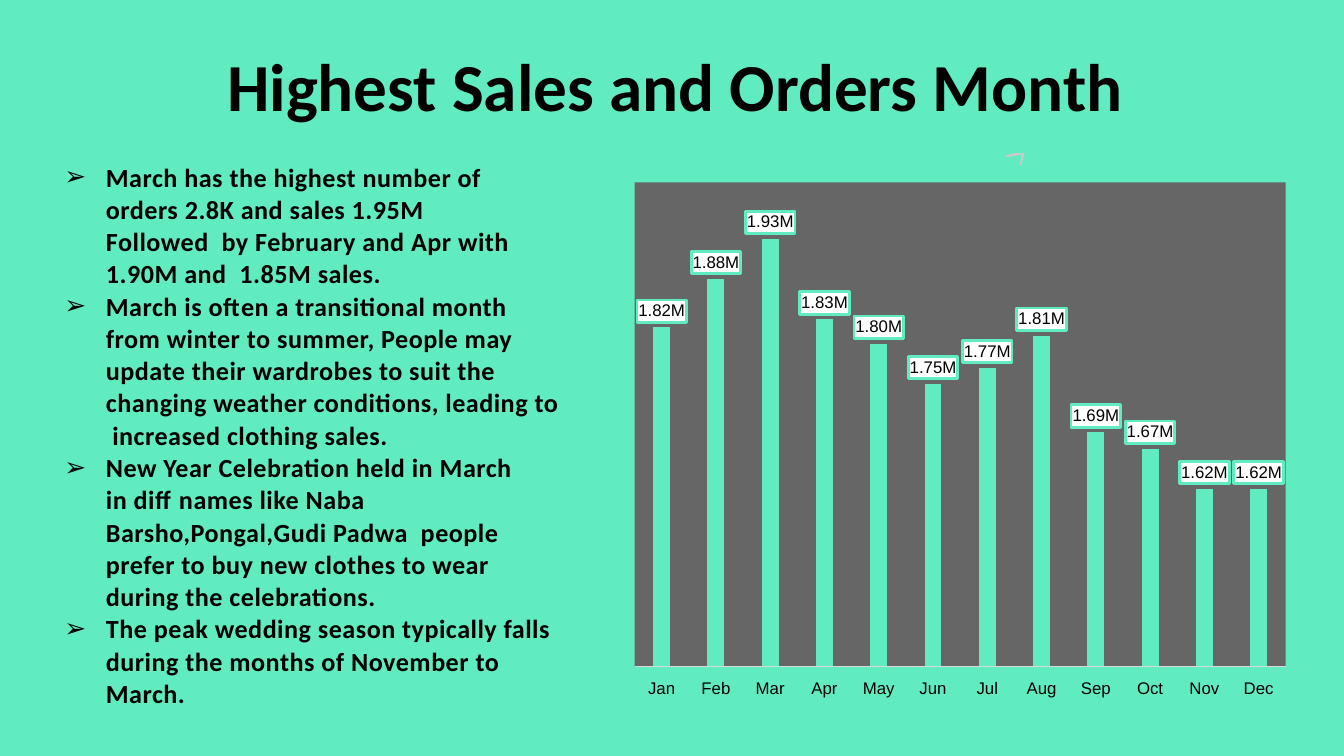
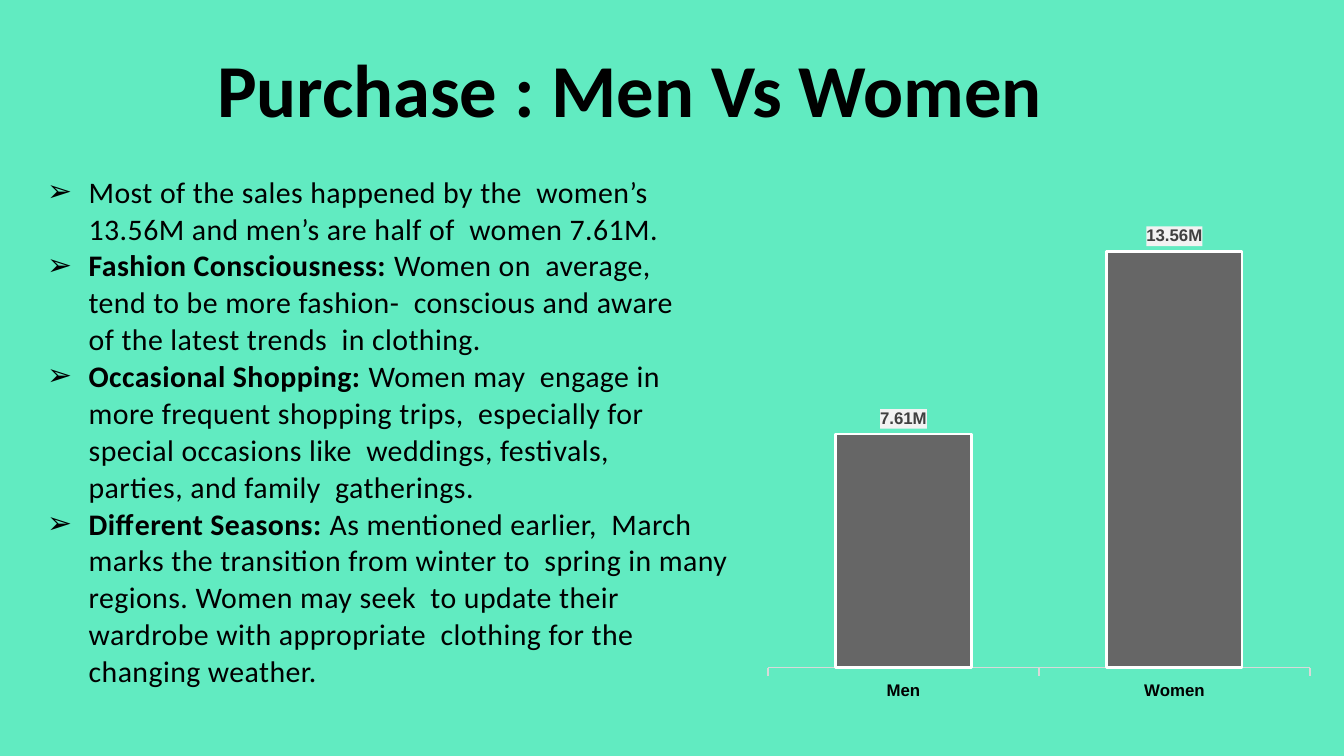
from lxml.etree import SubElement
from pptx import Presentation
from pptx.chart.data import CategoryChartData
from pptx.dml.color import RGBColor
from pptx.enum.chart import XL_CHART_TYPE, XL_LABEL_POSITION, XL_TICK_LABEL_POSITION, XL_TICK_MARK
from pptx.enum.text import MSO_ANCHOR, MSO_AUTO_SIZE, PP_ALIGN
from pptx.oxml import parse_xml
from pptx.oxml.ns import nsdecls, qn
from pptx.util import Emu, Inches, Pt

MINT = RGBColor(0x61, 0xEB, 0xC1)
GRAY = RGBColor(0x66, 0x66, 0x66)
BLACK = RGBColor(0, 0, 0)
DARK = RGBColor(0x40, 0x40, 0x40)
WHITE = RGBColor(0xFF, 0xFF, 0xFF)
PALE = RGBColor(0xF2, 0xF2, 0xF2)
RULE = RGBColor(0xD9, 0xD9, 0xD9)
FLECK = RGBColor(0xCA, 0xCA, 0xCA)

deck = Presentation()
deck.slide_width = Inches(10)
deck.slide_height = Emu(deck.slide_width * 9 // 16)


def area(left, top, width, height):
    across, down = deck.slide_width / 100, deck.slide_height / 100
    return [Emu(round(v)) for v in (left * across, top * down, width * across, height * down)]


def shape_props(tag, fill, line=None):
    outline = f'<a:ln w="19050"><a:solidFill><a:srgbClr val="{line}"/></a:solidFill></a:ln>' if line else ""
    return parse_xml(f'<c:{tag} {nsdecls("c", "a")}><a:solidFill><a:srgbClr val="{fill}"/>'
                     f'</a:solidFill>{outline}</c:{tag}>')


pages = [
    dict(
        title="Highest Sales and Orders Month", title_size=36, title_area=(3.9, 2, 92.7, 18.3),
        title_anchor=MSO_ANCHOR.MIDDLE,
        points_area=(2.6, 20.3, 40.1, 75), points_size=14, indent=0.43, insets=(0.1, 0.05),
        points=[
            ("March has the highest number of  orders 2.8K and sales 1.95M Followed  by February "
             "and Apr with 1.90M and  1.85M sales.", "", 0.3),
            ("March is often a transitional month  from winter to summer, People may  update their "
             "wardrobes to suit the  changing weather conditions, leading to  increased clothing sales.", "", 0),
            ("New Year Celebration held in March in diff names like Naba Barsho,Pongal,Gudi Padwa  "
             "people prefer to buy new clothes to wear during the celebrations.", "", 0.25),
            ("The peak wedding season typically falls  during the months of November to  March.", "", 0),
        ],
        chart_area=(45, 20.3, 51.5, 72.2),
        months_or_groups="Jan Feb Mar Apr May Jun Jul Aug Sep Oct Nov Dec".split(),
        sales=[1.82, 1.88, 1.93, 1.83, 1.80, 1.75, 1.77, 1.81, 1.69, 1.67, 1.62, 1.62],
        scale=(1.4, 2.0), gap=219, overlap=-27, bar=MINT, bar_line=None, plot_fill=GRAY,
        label_look=(WHITE, MINT), label_color=BLACK, bold=False, tick=XL_TICK_MARK.NONE,
        plot=(4.3, 5.3, 94.1, 89),
    ),
    dict(
        title="Purchase : Men Vs Women", title_size=40, title_area=(8.1, 3.9, 77.5, 13.5),
        title_anchor=MSO_ANCHOR.TOP,
        points_area=(3.2, 18.7, 51.6, 73.4), points_size=16, indent=0.34, insets=(0, 0.23),
        points=[
            ("", "Most of the sales happened by the  women’s 13.56M and men’s are half of  women 7.61M.", 0.38),
            ("Fashion Consciousness: ", "Women on  average, tend to be more fashion-  conscious and "
             "aware of the latest trends  in clothing.", 0.38),
            ("Occasional Shopping: ", "Women may  engage in more frequent shopping trips,  especially for "
             "special occasions like  weddings, festivals, parties, and family  gatherings.", 0.38),
            ("Different Seasons: ", "As mentioned earlier,  March marks the transition from winter to  spring "
             "in many regions. Women may seek  to update their wardrobe with appropriate  clothing for the "
             "changing weather.", 0),
        ],
        chart_area=(56.3, 21.9, 42, 72.2),
        months_or_groups=["Men", "Women"], sales=[7.61, 13.56],
        scale=(0, 16), gap=100, overlap=0, bar=GRAY, bar_line=WHITE, plot_fill=None,
        label_look=(PALE, None), label_color=DARK, bold=True, tick=XL_TICK_MARK.OUTSIDE, plot=None,
    ),
]

for page in pages:
    slide = deck.slides.add_slide(deck.slide_layouts[6])
    slide.background.fill.solid()
    slide.background.fill.fore_color.rgb = MINT

    heading = slide.shapes.add_textbox(*area(*page["title_area"])).text_frame
    heading.word_wrap = True
    heading.vertical_anchor = page["title_anchor"]
    heading.margin_left = heading.margin_right = heading.margin_top = heading.margin_bottom = Inches(0.1)
    heading.text = page["title"]
    heading.paragraphs[0].alignment = PP_ALIGN.CENTER
    font = heading.paragraphs[0].runs[0].font
    font.name, font.size, font.bold, font.color.rgb = "Calibri", Pt(page["title_size"]), True, BLACK

    if page is pages[0]:
        corners = [(761, 114), (754, 114), (748, 116), (749, 117), (760, 115),
                   (759, 123), (760, 123), (762, 115)]
        outline = slide.shapes.build_freeform(*corners[0], scale=Inches(0.01))
        outline.add_line_segments(corners[1:], close=True)
        fleck = outline.convert_to_shape()
        fleck.shadow.inherit = False
        fleck.fill.solid()
        fleck.fill.fore_color.rgb = FLECK
        fleck.line.fill.background()

    data = CategoryChartData()
    data.categories = page["months_or_groups"]
    data.add_series("Series 1", [round(millions * 1_000_000) for millions in page["sales"]])
    chart = slide.shapes.add_chart(XL_CHART_TYPE.COLUMN_CLUSTERED, *area(*page["chart_area"]), data).chart
    chart.has_title = chart.has_legend = False
    chart.font.name, chart.font.size, chart.font.color.rgb = "Arial", Pt(10), BLACK

    sales_axis = chart.value_axis
    sales_axis.minimum_scale, sales_axis.maximum_scale = [limit * 1_000_000 for limit in page["scale"]]
    sales_axis.has_major_gridlines = False
    sales_axis.visible = False
    base_axis = chart.category_axis
    base_axis.major_tick_mark = page["tick"]
    base_axis.minor_tick_mark = XL_TICK_MARK.NONE
    base_axis.tick_label_position = XL_TICK_LABEL_POSITION.LOW
    base_axis.format.line.color.rgb = RULE
    base_axis.format.line.width = Pt(0.75)

    bars = chart.plots[0]
    bars.vary_by_categories = False
    bars.gap_width, bars.overlap = page["gap"], page["overlap"]
    series = bars.series[0]
    series.invert_if_negative = False
    series.format.fill.solid()
    series.format.fill.fore_color.rgb = page["bar"]
    if page["bar_line"]:
        series.format.line.color.rgb = page["bar_line"]
        series.format.line.width = Pt(1.5)

    labels = series.data_labels
    labels.show_value = True
    labels.position = XL_LABEL_POSITION.OUTSIDE_END
    labels.number_format, labels.number_format_is_linked = '0.00,,"M"', False
    for font, color in ((base_axis.tick_labels.font, BLACK), (labels.font, page["label_color"])):
        font.name, font.size, font.bold, font.color.rgb = "Arial", Pt(9), page["bold"], color
    label_xml = series._element.find(qn("c:dLbls"))
    label_xml.find(qn("c:txPr")).addprevious(shape_props("spPr", *page["label_look"]))

    plot_area = chart._chartSpace.chart.plotArea
    if page["plot_fill"]:
        plot_area.append(shape_props("spPr", page["plot_fill"]))
    if page["plot"]:
        for layout in plot_area.findall(qn("c:layout")):
            plot_area.remove(layout)
        layout = parse_xml(f'<c:layout {nsdecls("c")}><c:manualLayout/></c:layout>')
        shares = [percent / 100 for percent in page["plot"]]
        settings = [("layoutTarget", "inner"), ("xMode", "edge"), ("yMode", "edge"), *zip("xywh", shares)]
        for tag, value in settings:
            SubElement(layout[0], qn(f"c:{tag}")).set("val", str(value))
        plot_area.insert(0, layout)

    notes = slide.shapes.add_textbox(*area(*page["points_area"])).text_frame
    notes.word_wrap = True
    notes.auto_size = MSO_AUTO_SIZE.SHAPE_TO_FIT_TEXT
    side, top = page["insets"]
    notes.margin_left = notes.margin_right = Inches(side)
    notes.margin_top = Inches(top)
    notes.margin_bottom = Inches(side / 2)
    for number, (strong, plain, right) in enumerate(page["points"]):
        point = notes.paragraphs[0] if number == 0 else notes.add_paragraph()
        props = point._p.get_or_add_pPr()
        props.set("marL", str(Inches(page["indent"])))
        props.set("marR", str(Inches(right)))
        props.set("indent", str(Inches(-0.31)))
        bullet_color = SubElement(props, qn("a:buClr"))
        SubElement(bullet_color, qn("a:srgbClr")).set("val", str(BLACK))
        SubElement(props, qn("a:buFont")).set("typeface", "Arial")
        SubElement(props, qn("a:buChar")).set("char", "➢")
        point.line_spacing = 1.03
        for words, bold in ((strong, True), (plain, False)):
            if words:
                run = point.add_run()
                run.text = words
                font = run.font
                font.name, font.size, font.bold, font.color.rgb = "Calibri", Pt(page["points_size"]), bold, BLACK
                run._r.get_or_add_rPr().set("spc", "25")

deck.save("out.pptx")
